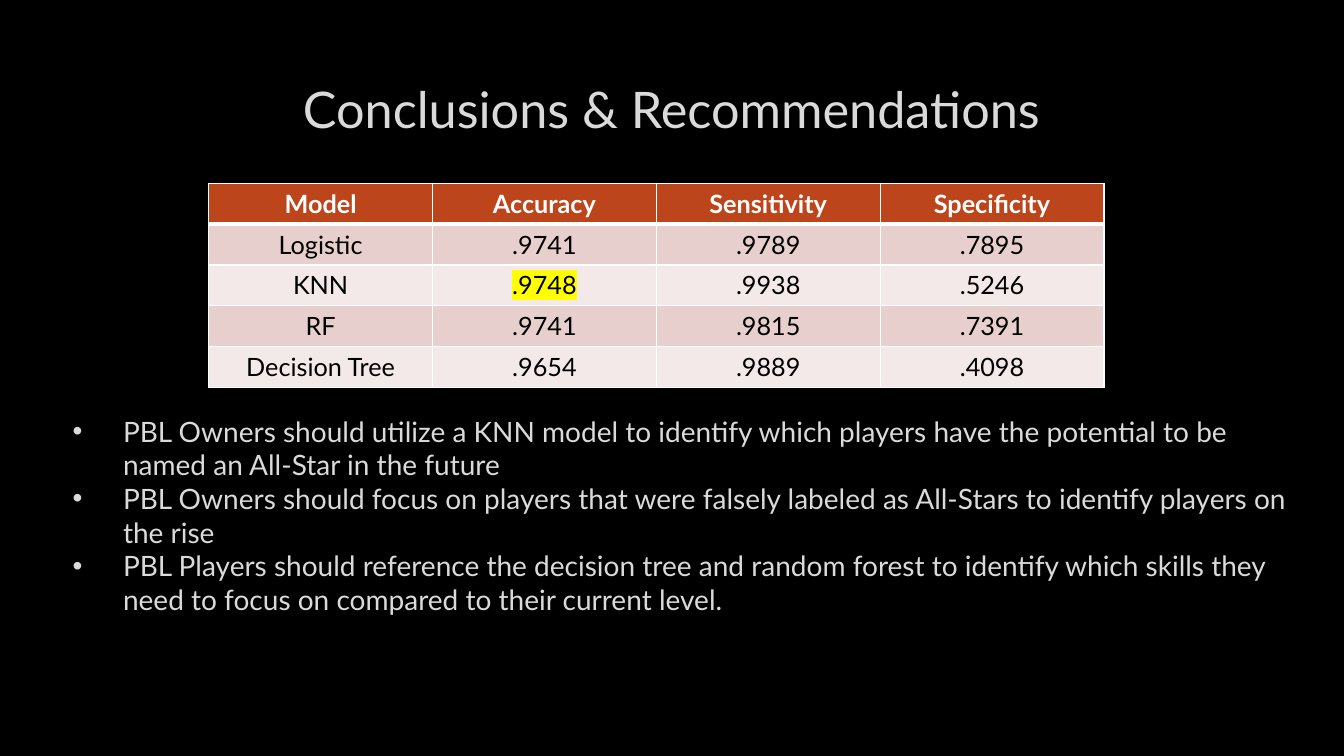
from lxml import etree
from pptx import Presentation
from pptx.dml.color import RGBColor
from pptx.enum.text import MSO_ANCHOR, MSO_AUTO_SIZE, PP_ALIGN
from pptx.oxml.ns import qn
from pptx.util import Inches, Pt

FONT = "Lato"
COLORS = {
    "background": "000000", "text": "DADADA", "outline": "404040",
    "header": "BC451B", "odd_row": "E7CFCD", "even_row": "F3E9E8",
    "white": "FFFFFF", "black": "000000", "highlight": "FFFF00",
}
SLIDE_W, SLIDE_H = 13.33, 7.5
MARGIN = 0.45
CONTENT_W = 12.42
TABLE_LEFT, TABLE_TOP = 2.07, 1.82
COLUMN_W, ROW_H = 2.22, 0.405

MODEL_SCORES = [
    ("Model", "Accuracy", "Sensitivity", "Specificity"),
    ("Logistic", ".9741", ".9789", ".7895"),
    ("KNN", ".9748", ".9938", ".5246"),
    ("RF", ".9741", ".9815", ".7391"),
    ("Decision Tree", ".9654", ".9889", ".4098"),
]
BEST_ACCURACY = (2, 1)
RECOMMENDATIONS = [
    "PBL Owners should utilize a KNN model to identify which players have "
    "the potential to be named an All-Star in the future",
    "PBL Owners should focus on players that were falsely labeled as "
    "All-Stars to identify players on the rise",
    "PBL Players should reference the decision tree and random forest to "
    "identify which skills they need to focus on compared to their "
    "current level.",
]


def rgb(name):
    """Look up a named colour."""
    return RGBColor.from_string(COLORS[name])


def add_color(parent, name):
    """Append a named colour element and return it."""
    return etree.SubElement(parent, qn("a:srgbClr"), val=COLORS[name])


def add_run(paragraph, text, size, color, bold=False):
    """Add a formatted run and return it."""
    run = paragraph.add_run()
    run.text = text
    run.font.name, run.font.size, run.font.bold = FONT, Pt(size), bold
    run.font.color.rgb = rgb(color)
    return run


def outline_text(run):
    """Give the letters a thin, nearly transparent outline."""
    line = etree.Element(qn("a:ln"), w=str(Pt(0.75)))
    fill = etree.SubElement(line, qn("a:solidFill"))
    etree.SubElement(add_color(fill, "outline"), qn("a:alpha"), val="10000")
    run.font._element.insert(0, line)


def highlight_text(run):
    """Mark the run with the highlight colour."""
    mark = etree.Element(qn("a:highlight"))
    add_color(mark, "highlight")
    run.font._element.find(qn("a:solidFill")).addnext(mark)


def place_text(placeholder, top, height, anchor):
    """Position a full-width placeholder and return its text frame."""
    placeholder.left, placeholder.top = Inches(MARGIN), Inches(top)
    placeholder.width, placeholder.height = Inches(CONTENT_W), Inches(height)
    frame = placeholder.text_frame
    frame.margin_left = frame.margin_right = Inches(0.1)
    frame.margin_top = frame.margin_bottom = Inches(0.1)
    frame.word_wrap, frame.auto_size = True, MSO_AUTO_SIZE.NONE
    frame.vertical_anchor = anchor
    return frame


def fill_title(placeholder, text):
    """Write the centred slide title."""
    frame = place_text(placeholder, 0.65, 0.84, MSO_ANCHOR.MIDDLE)
    paragraph = frame.paragraphs[0]
    paragraph.alignment = PP_ALIGN.CENTER
    outline_text(add_run(paragraph, text, 36, "text"))


def fill_bullets(placeholder, items):
    """Write the bulleted list below the table."""
    frame = place_text(placeholder, 4.01, 2.65, MSO_ANCHOR.TOP)
    for index, item in enumerate(items):
        paragraph = frame.add_paragraph() if index else frame.paragraphs[0]
        paragraph.alignment = PP_ALIGN.LEFT
        paragraph.line_spacing = 1.0
        paragraph.space_before = paragraph.space_after = Pt(0)
        outline_text(add_run(paragraph, item, 20, "text"))
        properties = paragraph._p.get_or_add_pPr()
        properties.set("marL", str(Inches(0.67)))
        properties.set("indent", str(Inches(-0.5)))
        add_color(etree.SubElement(properties, qn("a:buClr")), "text")
        etree.SubElement(properties, qn("a:buFont"), typeface="Arial")
        etree.SubElement(properties, qn("a:buChar"), char="•")


def set_borders(cell, top, bottom):
    """Draw white cell borders, with the given top and bottom widths."""
    properties = cell._tc.get_or_add_tcPr()
    widths = {"a:lnL": 1, "a:lnR": 1, "a:lnT": top, "a:lnB": bottom}
    for index, (tag, width) in enumerate(widths.items()):
        line = etree.Element(qn(tag), w=str(Pt(width)))
        add_color(etree.SubElement(line, qn("a:solidFill")), "white")
        properties.insert(index, line)


def add_score_table(slide, rows):
    """Add the banded table of model scores."""
    columns = len(rows[0])
    table = slide.shapes.add_table(
        len(rows), columns, Inches(TABLE_LEFT), Inches(TABLE_TOP),
        Inches(COLUMN_W * columns), Inches(ROW_H * len(rows))).table
    for r, row in enumerate(rows):
        header = r == 0
        band = "header" if header else "odd_row" if r % 2 else "even_row"
        for c, text in enumerate(row):
            cell = table.cell(r, c)
            cell.fill.solid()
            cell.fill.fore_color.rgb = rgb(band)
            set_borders(cell, 3 if r == 1 else 1, 3 if header else 1)
            paragraph = cell.text_frame.paragraphs[0]
            paragraph.alignment = PP_ALIGN.CENTER
            run = add_run(paragraph, text, 18,
                          "white" if header else "black", header)
            if (r, c) == BEST_ACCURACY:
                highlight_text(run)


def main():
    """Build and save the conclusions slide."""
    deck = Presentation()
    deck.slide_width, deck.slide_height = Inches(SLIDE_W), Inches(SLIDE_H)
    slide = deck.slides.add_slide(deck.slide_layouts[1])
    slide.background.fill.solid()
    slide.background.fill.fore_color.rgb = rgb("background")
    fill_title(slide.shapes.title, "Conclusions & Recommendations")
    fill_bullets(slide.placeholders[1], RECOMMENDATIONS)
    add_score_table(slide, MODEL_SCORES)
    deck.save("out.pptx")


main()
